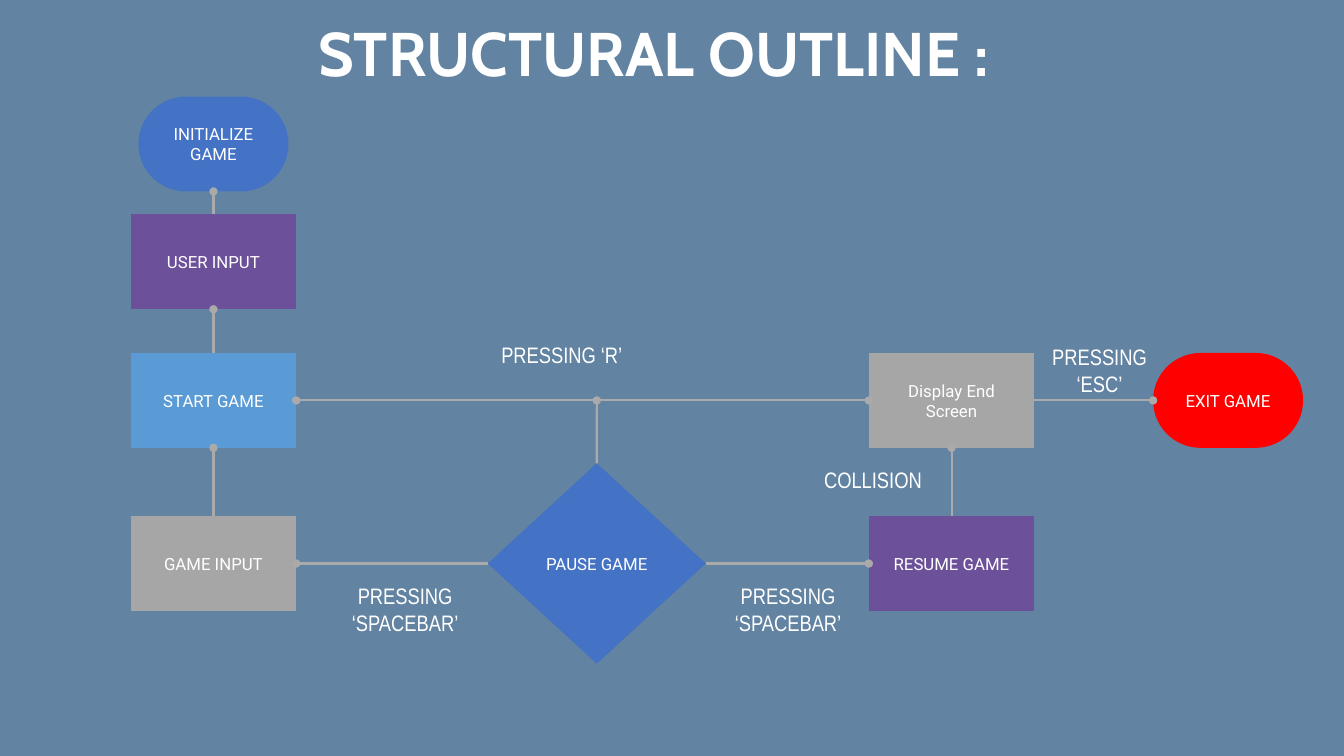
import lxml.etree
import pptx
import pptx.util
import pptx.dml.color
import pptx.enum.shapes
import pptx.enum.text
import pptx.oxml.ns

Cm, Pt = pptx.util.Cm, pptx.util.Pt
RGBColor = pptx.dml.color.RGBColor
Kind = pptx.enum.shapes.MSO_SHAPE
Align = pptx.enum.text.PP_ALIGN
Anchor = pptx.enum.text.MSO_ANCHOR
qn = pptx.oxml.ns.qn

SLATE = RGBColor(0x62, 0x83, 0xA1)
WHITE = RGBColor(0xFF, 0xFF, 0xFF)
BLUE = RGBColor(0x44, 0x72, 0xC4)
SKY = RGBColor(0x5B, 0x9B, 0xD5)
PURPLE = RGBColor(0x6C, 0x50, 0x99)
GREY = RGBColor(0xA6, 0xA6, 0xA6)
RED = RGBColor(0xFF, 0x00, 0x00)
LINE = RGBColor(0xAA, 0xAA, 0xAA)

TITLE = "STRUCTURAL OUTLINE :"
SIZES = {
    Kind.ROUNDED_RECTANGLE: (3.78, 2.39),
    Kind.FLOWCHART_PROCESS: (4.17, 2.39),
    Kind.FLOWCHART_DECISION: (5.49, 5.05),
}
LEFT, MID, RIGHT, FAR = 5.38, 15.04, 23.98, 30.95
UPPER, LOWER = 10.09, 14.2
STEPS = {
    "init": ("INITIALIZE GAME", Kind.ROUNDED_RECTANGLE, BLUE, LEFT, 3.63),
    "user": ("USER INPUT", Kind.FLOWCHART_PROCESS, PURPLE, LEFT, 6.6),
    "start": ("START GAME", Kind.FLOWCHART_PROCESS, SKY, LEFT, UPPER),
    "game": ("GAME INPUT", Kind.FLOWCHART_PROCESS, GREY, LEFT, LOWER),
    "pause": ("PAUSE GAME", Kind.FLOWCHART_DECISION, BLUE, MID, LOWER),
    "resume": ("RESUME GAME", Kind.FLOWCHART_PROCESS, PURPLE, RIGHT, LOWER),
    "end": ("Display End Screen", Kind.FLOWCHART_PROCESS, GREY, RIGHT, UPPER),
    "exit": ("EXIT GAME", Kind.ROUNDED_RECTANGLE, RED, FAR, UPPER),
}
TOP, WEST, BASE, EAST = range(4)
LINKS = [
    (("user", TOP), ("init", BASE)),
    (("start", TOP), ("user", BASE)),
    (("game", TOP), ("start", BASE)),
    (("pause", WEST), ("game", EAST)),
    (("pause", EAST), ("resume", WEST)),
    (("resume", TOP), ("end", BASE)),
    (("end", EAST), ("exit", WEST)),
    (("pause", TOP), None),
    (None, ("start", EAST)),
    (None, ("end", WEST)),
]
NOTES = [
    ("PRESSING ‘R’", 14.16, 8.93),
    ("PRESSING ‘SPACEBAR’", 10.21, 15.35),
    ("PRESSING ‘SPACEBAR’", 19.86, 15.35),
    ("COLLISION", 22, 12.08),
    ("PRESSING ‘ESC’", 27.71, 9.33),
]


def around(x, y, wide, high):
    return Cm(x - wide / 2), Cm(y - high / 2), Cm(wide), Cm(high)


def write(shape, text, font, size, side, align=Align.CENTER, bold=False):
    frame = shape.text_frame
    frame.text = text
    frame.word_wrap = True
    frame.vertical_anchor = Anchor.MIDDLE
    frame.margin_left = frame.margin_right = Cm(side)
    para = frame.paragraphs[0]
    para.alignment = align
    para.font.name = font
    para.font.size = Pt(size)
    para.font.bold = bold
    para.font.color.rgb = WHITE


def draw(text, kind, color, x, y):
    shape = slide.shapes.add_shape(kind, *around(x, y, *SIZES[kind]))
    shape.shadow.inherit = False
    shape.fill.solid()
    shape.fill.fore_color.rgb = color
    shape.line.fill.background()
    if kind == Kind.ROUNDED_RECTANGLE:
        shape.adjustments[0] = 0.5
    write(shape, text, "Roboto", 12, 0.35)
    shape.text_frame.word_wrap = kind != Kind.FLOWCHART_DECISION
    return shape


def link(start, stop):
    wire = slide.shapes.add_connector(
        pptx.enum.shapes.MSO_CONNECTOR.STRAIGHT,
        Cm(MID), Cm(UPPER), Cm(MID), Cm(UPPER))
    if start:
        wire.begin_connect(steps[start[0]], start[1])
    if stop:
        wire.end_connect(steps[stop[0]], stop[1])
    wire.line.color.rgb = LINE
    wire.line.width = Pt(1.5)
    props = wire._element.find(qn("p:spPr"))
    lxml.etree.SubElement(props.find(qn("a:ln")), qn("a:tailEnd"), type="oval")
    lxml.etree.SubElement(props, qn("a:effectLst"))


deck = pptx.Presentation()
deck.slide_width, deck.slide_height = Cm(33.87), Cm(19.05)
slide = deck.slides.add_slide(deck.slide_layouts[5])
slide.background.fill.solid()
slide.background.fill.fore_color.rgb = SLATE

title = slide.shapes.title
title.left, title.top, title.width, title.height = Cm(7.77), Cm(0.25), Cm(25), Cm(2.1)
write(title, TITLE, "Cabin", 44, 0.25, Align.LEFT, True)
title.text_frame.vertical_anchor = Anchor.TOP

steps = {name: draw(*step) for name, step in STEPS.items()}
for start, stop in LINKS:
    link(start, stop)
for text, x, y in NOTES:
    note = slide.shapes.add_textbox(*around(x, y, 3.4, 1.4))
    write(note, text, "Arial Narrow", 16, 0.1)

deck.save("out.pptx")
